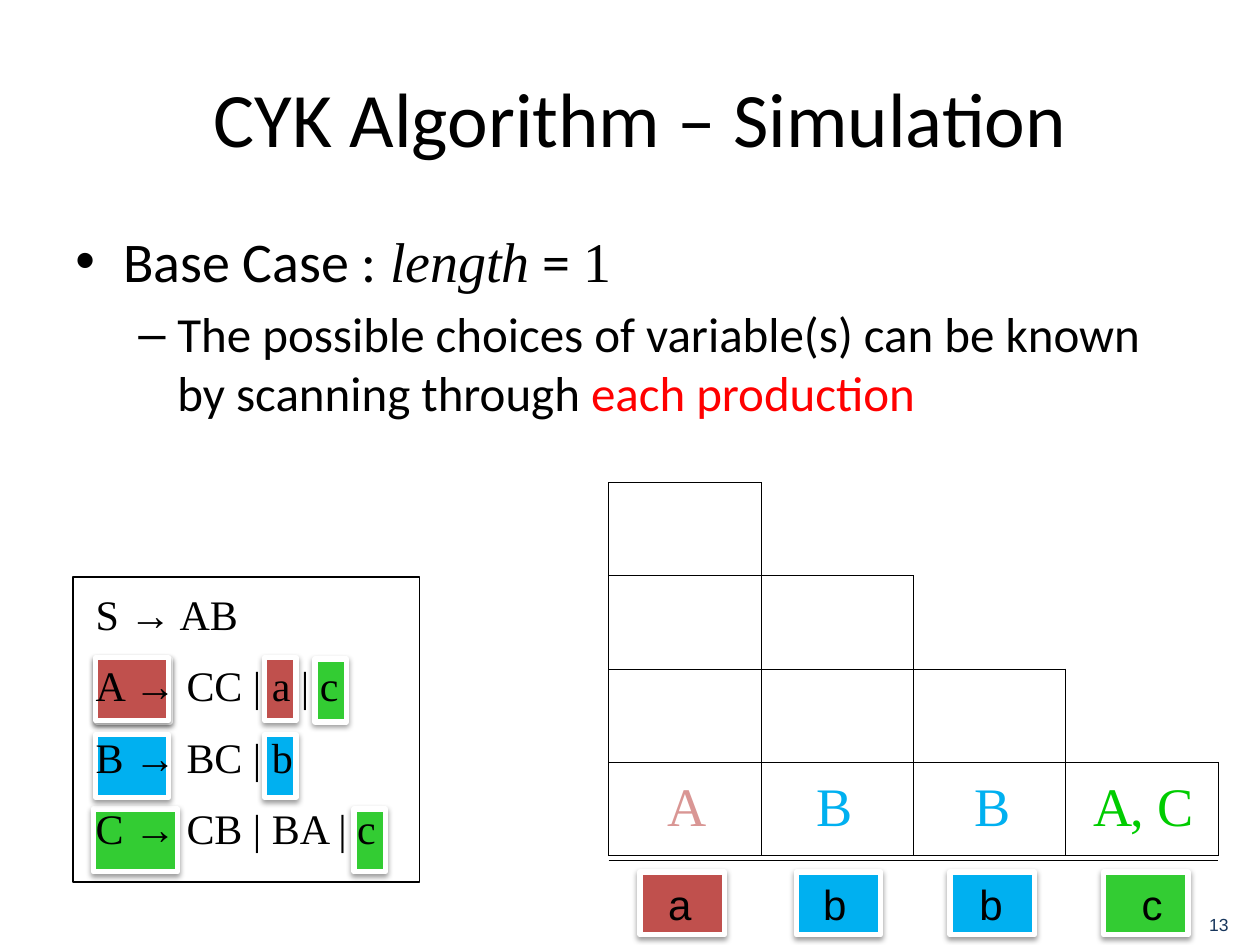
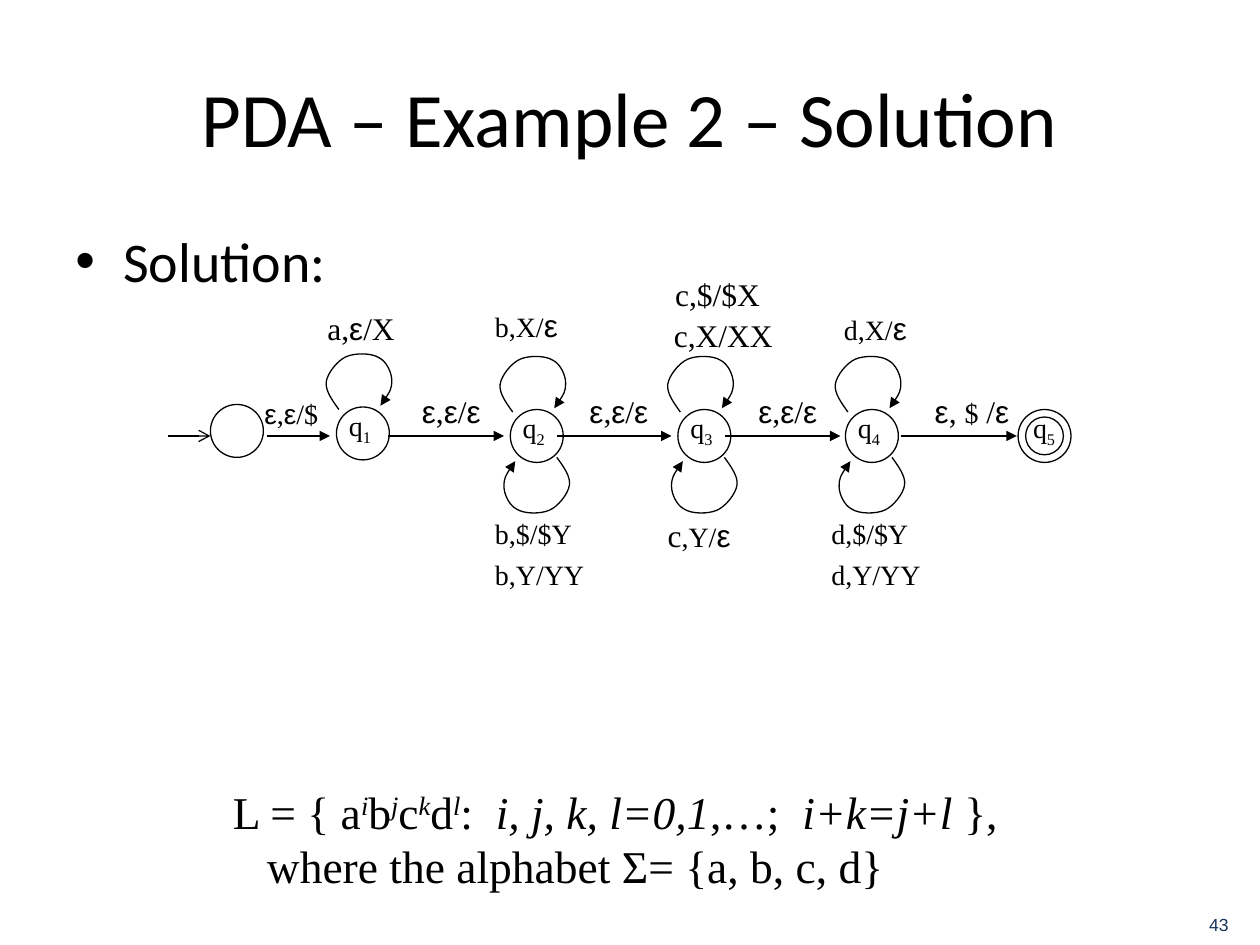
from dataclasses import dataclass
from itertools import groupby
from typing import NamedTuple, Optional

from lxml.etree import SubElement
from pptx import Presentation
from pptx.dml.color import RGBColor
from pptx.enum.shapes import MSO_CONNECTOR, MSO_SHAPE
from pptx.enum.text import MSO_ANCHOR, MSO_AUTO_SIZE, PP_ALIGN
from pptx.oxml.ns import qn
from pptx.slide import Slide
from pptx.util import Emu, Pt

EMU_PER_PX = 9144  # 100 px to the inch


@dataclass(frozen=True)
class Theme:
    ink: str = "000000"
    paper: str = "FFFFFF"
    accent: str = "FF0000"
    page_number: str = "17365C"
    red: str = "C0504D"
    pale_red: str = "D99694"
    blue: str = "00B0F0"
    green: str = "33CC33"
    bright_green: str = "00CC00"
    heading: str = "Calibri"
    serif: str = "Times New Roman"
    sans: str = "Arial"
    title_size: int = 44
    bullet_size: int = 32
    dash_size: int = 28
    answer_size: int = 31
    formula_size: int = 26
    grammar_size: int = 24
    label_size: int = 18
    small_label_size: int = 16
    page_size: int = 10
    hairline: float = 0.75
    border: float = 0.5
    swatch_line: int = 3


THEME = Theme()


class Box(NamedTuple):
    left: int
    top: int
    width: int
    height: int


class Run(NamedTuple):
    text: str
    size: int
    font: str = THEME.serif
    color: str = THEME.ink
    italic: bool = False
    baseline: int = 0
    tracking: int = 0


class Para(NamedTuple):
    runs: list[Run]
    align: PP_ALIGN = PP_ALIGN.LEFT
    space_before: int = 0  # percent of the text size
    bullet: str = ""
    margin: int = 0
    indent: int = 0


class Swatch(NamedTuple):
    left: int
    top: int
    width: int
    color: str


class Label(NamedTuple):
    left: int
    top: int
    width: int
    runs: list[Run]


class State(NamedTuple):
    x: int
    y: int
    index: str = ""
    loop_above: bool = False
    loop_below: bool = False
    accepting: bool = False


def px(length: float) -> Emu:
    return Emu(round(length * EMU_PER_PX))


def place(box: Box) -> list[Emu]:
    return [px(length) for length in box]


def rgb(color: str) -> RGBColor:
    return RGBColor.from_string(color)


def write_para(paragraph, content: Para) -> None:
    paragraph.text = content.runs[0].text
    for run in content.runs[1:]:
        paragraph.add_run().text = run.text
    for target, run in zip(paragraph.runs, content.runs):
        target.font.name, target.font.size = run.font, Pt(run.size)
        target.font.color.rgb = rgb(run.color)
        target.font.italic = run.italic
        properties = target._r.get_or_add_rPr()
        if run.baseline:
            properties.set("baseline", str(run.baseline * 1000))
        if run.tracking:
            properties.set("spc", str(run.tracking))
    paragraph.alignment = content.align
    properties = paragraph._p.get_or_add_pPr()
    properties.set("marL", str(px(content.margin)))
    properties.set("indent", str(px(content.indent)))
    if content.space_before:
        before = SubElement(properties, qn("a:spcBef"))
        SubElement(before, qn("a:spcPct"), val=str(content.space_before * 1000))
    if content.bullet:
        SubElement(properties, qn("a:buFont"), typeface=THEME.sans)
        SubElement(properties, qn("a:buChar"), char=content.bullet)


def add_text(slide: Slide, box: Box, paras: list[Para], anchor: MSO_ANCHOR = MSO_ANCHOR.TOP,
             wrap: bool = True, inset: Optional[int] = None) -> None:
    frame = slide.shapes.add_textbox(*place(box)).text_frame
    frame.word_wrap = wrap
    frame.vertical_anchor = anchor
    if not wrap:
        frame.auto_size = MSO_AUTO_SIZE.SHAPE_TO_FIT_TEXT
    if inset is not None:
        frame.margin_left = frame.margin_right = px(inset)
        frame.margin_top = frame.margin_bottom = px(inset)
    for number, para in enumerate(paras):
        write_para(frame.add_paragraph() if number else frame.paragraphs[0], para)


def add_label(slide: Slide, label: Label) -> None:
    height = 40 if any(run.size == THEME.label_size for run in label.runs) else 37
    add_text(slide, Box(label.left, label.top, label.width, height),
             [Para(label.runs)], wrap=False)


def add_centred(slide: Slide, box: Box, run: Run) -> None:
    add_text(slide, box, [Para([run], PP_ALIGN.CENTER, 50)])


def style_line(shape, arrowhead: str = "") -> None:
    shape.line.color.rgb = rgb(THEME.ink)
    shape.line.width = Pt(THEME.hairline)
    if arrowhead:
        SubElement(shape._element.spPr.find(qn("a:ln")), qn("a:tailEnd"), type=arrowhead)


def add_outline(slide: Slide, preset: MSO_SHAPE, box: Box) -> None:
    shape = slide.shapes.add_shape(preset, *place(box))
    shape.shadow.inherit = False
    shape.fill.background()
    style_line(shape)


def add_rule(slide: Slide, start: int, end: int, y: int, arrowhead: str = "") -> None:
    rule = slide.shapes.add_connector(MSO_CONNECTOR.STRAIGHT, px(start), px(y), px(end), px(y))
    style_line(rule, arrowhead)
    SubElement(rule._element.spPr, qn("a:effectLst"))


def add_swatch(slide: Slide, swatch: Swatch) -> None:
    """Draw a coloured tile with a white rim and a soft shadow below it."""
    tile = slide.shapes.add_shape(
        MSO_SHAPE.RECTANGLE, *place(Box(swatch.left, swatch.top, swatch.width, 50)))
    tile.fill.solid()
    tile.fill.fore_color.rgb = rgb(swatch.color)
    tile.line.color.rgb = rgb(THEME.paper)
    tile.line.width = Pt(THEME.swatch_line)
    tile.shadow.inherit = False
    shadow = SubElement(tile._element.spPr.find(qn("a:effectLst")), qn("a:outerShdw"),
                        blurRad="40000", dist="20000", dir="5400000", rotWithShape="0")
    tint = SubElement(shadow, qn("a:srgbClr"), val=THEME.ink)
    SubElement(tint, qn("a:alpha"), val="38000")


def add_frame(deck, title: str, title_width: int, bullets: list[Para], page: str) -> Slide:
    """Add a slide with the shared title, body and page number."""
    slide = deck.slides.add_slide(deck.slide_layouts[6])
    add_text(slide, Box(50, 30, title_width, 125),
             [Para([Run(title, THEME.title_size, THEME.heading)], PP_ALIGN.CENTER)],
             MSO_ANCHOR.MIDDLE)
    add_text(slide, Box(50, 175, 900, 495), bullets)
    number = Run(page, THEME.page_size, THEME.sans, THEME.page_number)
    add_text(slide, Box(892, 702, 83, 40), [Para([number], PP_ALIGN.RIGHT, 50)],
             MSO_ANCHOR.BOTTOM, inset=0)
    return slide


def bullet(runs: list[Run]) -> Para:
    return Para(runs, space_before=20, bullet="•", margin=38, indent=-38)


def add_staircase(slide: Slide, box: Box, steps: int) -> None:
    """Add the triangular CYK table: row r shows its first r + 1 cells."""
    table = slide.shapes.add_table(steps, steps, *place(box)).table
    table.first_row = table.horz_banding = False
    for row in range(steps):
        for column in range(steps):
            cell = table.cell(row, column)
            sides = "LRTB" if column <= row else "LB" if column == row + 1 else ""
            properties = cell._tc.get_or_add_tcPr()
            for side in "LRTB":
                edge = SubElement(properties, qn(f"a:ln{side}"), w=str(Pt(THEME.border)))
                if side in sides:
                    fill = SubElement(edge, qn("a:solidFill"))
                    SubElement(fill, qn("a:srgbClr"), val=THEME.ink)
                else:
                    SubElement(edge, qn("a:noFill"))
            cell.fill.background()


# Start of a loop above a state centred on the origin, then three points for each curve.
LOOP = [
    (-19, -19),
    (-24, -26), (-30, -34), (-29, -41),
    (-28, -48), (-20, -58), (-13, -61),
    (-6, -64), (7, -64), (13, -60),
    (19, -57), (23, -48), (23, -42),
    (23, -35), (19, -29), (14, -22),
]


def bend(outline) -> None:
    """Turn every three line segments of a freeform into one Bezier curve."""
    segments = list(outline._element.iter(qn("a:lnTo")))
    for first in range(0, len(segments), 3):
        curve = SubElement(segments[first].getparent(), qn("a:cubicBezTo"))
        for segment in segments[first:first + 3]:
            curve.append(segment[0])
            segment.getparent().remove(segment)


def add_loop(slide: Slide, x: int, y: int, turn: int) -> None:
    """Draw a self-transition; turn is 1 above the state and -1 below it."""
    points = [(px(x + turn * dx), px(y + turn * dy)) for dx, dy in LOOP]
    builder = slide.shapes.build_freeform(*points[0], scale=1.0)
    builder.add_line_segments(points[1:], close=False)
    loop = builder.convert_to_shape()
    bend(loop)
    loop.shadow.inherit = False
    loop.fill.background()
    style_line(loop, "triangle")


def add_state(slide: Slide, state: State) -> None:
    for radius in (21, 15) if state.accepting else (21,):
        add_outline(slide, MSO_SHAPE.OVAL,
                    Box(state.x - radius, state.y - radius, 2 * radius, 2 * radius))
    if state.loop_above:
        add_loop(slide, state.x, state.y, 1)
    if state.loop_below:
        add_loop(slide, state.x - 3, state.y - 2, -1)
    if state.index:
        name = [Run("q", THEME.small_label_size),
                Run(state.index, THEME.small_label_size, baseline=-25)]
        left = state.x - (19 if state.accepting else 21)
        add_label(slide, Label(left, state.y - 25, 38, name))


def symbols(text: str, size: int = THEME.label_size, epsilon_size: int = 0) -> list[Run]:
    """Split a transition into serif runs and sans-serif ε runs."""
    return [Run("".join(part), epsilon_size or size, THEME.sans) if is_epsilon
            else Run("".join(part), size)
            for is_epsilon, part in groupby(text, lambda symbol: symbol == "ε")]


def build_simulation(deck) -> None:
    size = THEME.bullet_size
    base_case = bullet([Run("Base Case : ", size, THEME.heading), Run("length", size, italic=True),
                        Run(" = ", size, THEME.heading), Run("1", size)])
    scanning = Para([Run("The possible choices of variable(s) can be known by scanning through ",
                         THEME.dash_size, THEME.heading),
                     Run("each production", THEME.dash_size, THEME.heading, THEME.accent)],
                    space_before=20, bullet="–", margin=81, indent=-31)
    slide = add_frame(deck, "CYK Algorithm – Simulation", 917, [base_case, scanning], "13")

    for swatch in (
        Swatch(281, 642, 25, THEME.green), Swatch(74, 642, 67, THEME.green),
        Swatch(250, 523, 25, THEME.green), Swatch(77, 523, 58, THEME.green),
        Swatch(210, 583, 25, THEME.blue), Swatch(76, 583, 58, THEME.blue),
        Swatch(210, 522, 25, THEME.red), Swatch(76, 522, 58, THEME.red),
        Swatch(508, 692, 67, THEME.red), Swatch(632, 692, 67, THEME.blue),
        Swatch(754, 692, 67, THEME.blue), Swatch(876, 692, 67, THEME.green),
    ):
        add_swatch(slide, swatch)

    add_rule(slide, 483, 967, 683)
    for left, letter in zip((483, 606, 730, 858), "abbc"):
        add_centred(slide, Box(left, 692, 113, 50), Run(letter, THEME.grammar_size, THEME.sans))

    productions = ("S → AB", "A → CC | a | c", "B → BC | b", "C → CB | BA | c")
    add_text(slide, Box(66, 462, 259, 232),
             [Para([Run(rule, THEME.grammar_size)], space_before=50) for rule in productions])
    add_outline(slide, MSO_SHAPE.RECTANGLE, Box(58, 458, 275, 242))

    for left, variable, color in ((483, "A", THEME.pale_red), (600, "B", THEME.blue),
                                  (725, "B", THEME.blue), (821, "A", THEME.bright_green)):
        add_centred(slide, Box(left, 608, 125, 62),
                    Run(variable, THEME.answer_size, color=color))
    second = Run(", C", THEME.answer_size, color=THEME.bright_green)
    add_text(slide, Box(887, 608, 71, 62), [Para([second], space_before=50)], wrap=False)
    add_staircase(slide, Box(483, 383, 484, 296), 4)


def language_definition() -> list[Para]:
    size = THEME.formula_size
    gap = Run(" ", size, tracking=650)
    runs = [Run("L = { ", size)]
    for letter, power in zip("abcd", "ijkl"):
        runs += [Run(letter, size), Run(power, size, italic=True, baseline=30)]
    runs += [Run(":", size), gap, Run("i, j, k, l=0,1", size, italic=True), Run(",…;", size), gap,
             Run("i+k=j+l", size, italic=True), Run(" },", size)]
    return [Para(runs), Para([Run("where the alphabet Σ= {a, b, c, d}", size)], margin=27)]


def build_automaton(deck) -> None:
    heading = bullet([Run("Solution:", THEME.bullet_size, THEME.heading)])
    slide = add_frame(deck, "PDA – Example 2 – Solution", 900, [heading], "43")
    add_text(slide, Box(175, 617, 775, 117), language_definition())

    for state in (State(188, 342), State(288, 344, "1", loop_above=True),
                  State(426, 346, "2", True, True), State(559, 346, "3", True, True),
                  State(692, 346, "4", True, True), State(829, 346, "5", accepting=True)):
        add_state(slide, state)

    add_rule(slide, 133, 167, 346, "arrow")
    for start, end in ((212, 262), (308, 400), (442, 533), (575, 667), (715, 807)):
        add_rule(slide, start, end, 346, "triangle")

    small, large = THEME.small_label_size, THEME.label_size
    for left in (325, 458, 592):
        add_label(slide, Label(left, 306, 71, symbols("ε,ε/ε")))
    for label in (
        Label(200, 310, 65, symbols("ε,ε/$", small)),
        Label(732, 306, 82, symbols("ε, ") + symbols("$", small) + symbols(" /ε")),
        Label(250, 240, 77, symbols("a,ε/X")),
        Label(383, 238, 74, symbols("b,X/ε", small, large)),
        Label(526, 213, 88, symbols("c,$/$X")),
        Label(525, 246, 101, symbols("c,X/XX")),
        Label(660, 240, 74, symbols("d,X/ε", small, large)),
        Label(383, 405, 81, symbols("b,$/$Y", small)),
        Label(383, 438, 91, symbols("b,Y/YY", small)),
        Label(520, 405, 72, symbols("c") + symbols(",Y/ε", small, large)),
        Label(650, 405, 82, symbols("d,$/$Y", small)),
        Label(650, 438, 91, symbols("d,Y/YY", small)),
    ):
        add_label(slide, label)


def main() -> None:
    deck = Presentation()
    deck.slide_width, deck.slide_height = px(1000), px(750)
    build_simulation(deck)
    build_automaton(deck)
    deck.save("out.pptx")


if __name__ == "__main__":
    main()
